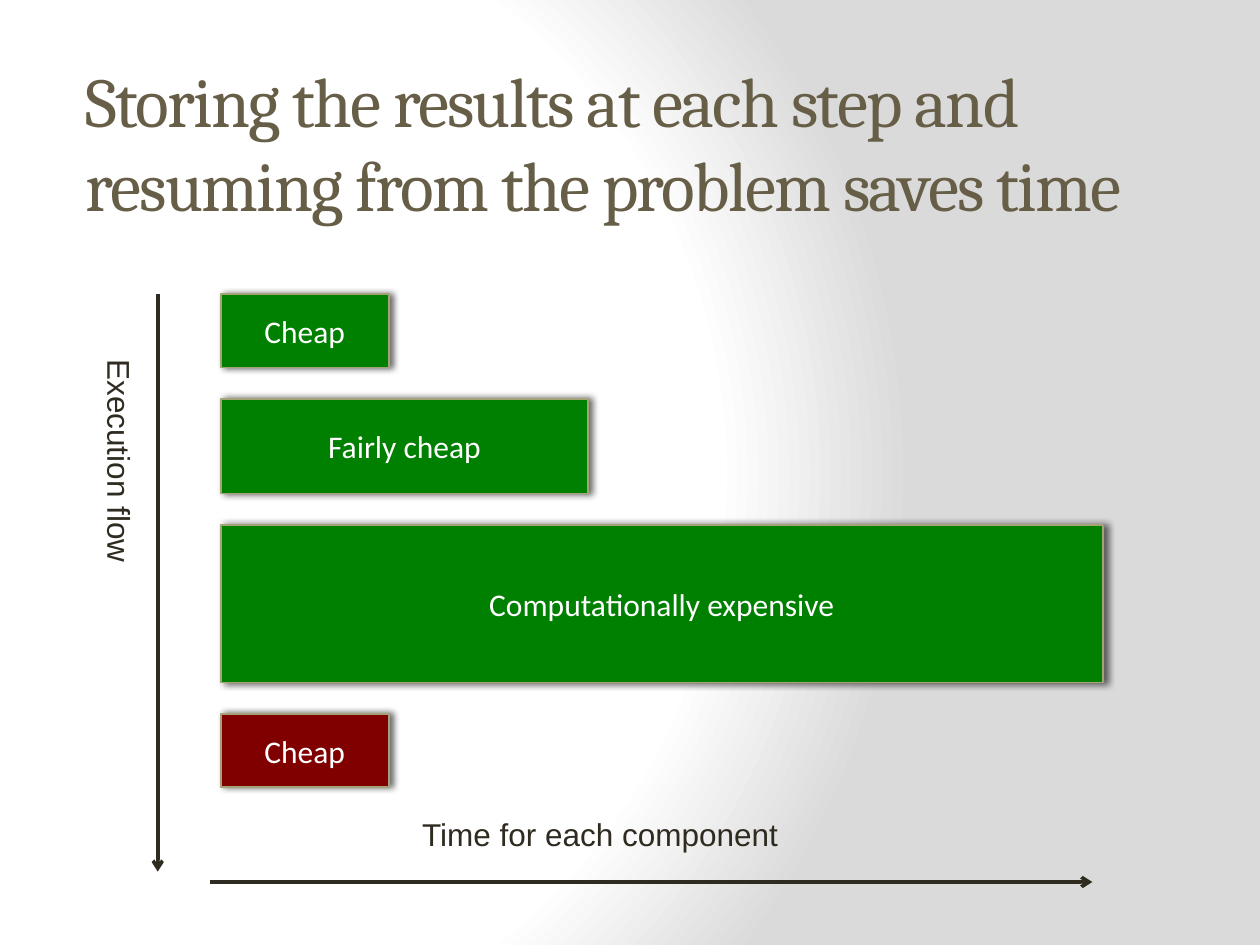
from dataclasses import dataclass

from lxml import etree
from pptx import Presentation
from pptx.dml.color import RGBColor
from pptx.enum.shapes import MSO_CONNECTOR, MSO_SHAPE
from pptx.enum.text import MSO_ANCHOR, MSO_AUTO_SIZE, PP_ALIGN
from pptx.oxml import parse_xml
from pptx.oxml.ns import nsdecls, qn
from pptx.util import Cm, Pt

RECT = MSO_SHAPE.RECTANGLE
LINE = MSO_CONNECTOR.STRAIGHT
MIDDLE = MSO_ANCHOR.MIDDLE
LEFT, CENTER = PP_ALIGN.LEFT, PP_ALIGN.CENTER
FIXED, GROW = MSO_AUTO_SIZE.NONE, MSO_AUTO_SIZE.SHAPE_TO_FIT_TEXT


@dataclass(frozen=True)
class Theme:
    title: str = "675E47"
    ink: str = "2F2B20"
    light: str = "FFFFFF"
    shade: str = "DADADA"
    done: str = "008000"
    failed: str = "800000"
    edge: str = "A6A278"
    shadow: str = "000000"
    head: int = 40
    body: int = 18


THEME = Theme()

# Label, width, height (cm), fill
STEPS = [
    ("Cheap", 3.39, 1.48, THEME.done),
    ("Fairly cheap", 7.41, 1.91, THEME.done),
    ("Computationally expensive", 17.78, 3.18, THEME.done),
    ("Cheap", 3.39, 1.48, THEME.failed),
]
GAP = 0.63


def rgb(code):
    return RGBColor.from_string(code)


def assign(item, form):
    for name, value in form.items():
        setattr(item, name, value)


def write(shape, text, font, size, color, align, frame):
    """Put one formatted line of text into a shape."""
    area = shape.text_frame
    assign(area, {"word_wrap": True, **frame})
    par = area.paragraphs[0]
    par.alignment = align
    run = par.add_run()
    run.text = text
    assign(run.font, {"name": font, "size": Pt(size)})
    run.font.color.rgb = rgb(color)
    return run


def paint_back(slide):
    """Soft radial gradient behind everything."""
    slide.background.fill.solid()
    stops = [(0, THEME.light), (75, THEME.light), (100, THEME.shade)]
    marks = "".join(
        f'<a:gs pos="{pos * 1000}"><a:srgbClr val="{color}"/></a:gs>'
        for pos, color in stops)
    grad = parse_xml(
        f'<a:gradFill {nsdecls("a")} rotWithShape="1"><a:gsLst>{marks}</a:gsLst>'
        '<a:path path="circle"><a:fillToRect l="20000" t="50000" '
        'r="100000" b="50000"/></a:path></a:gradFill>')
    props = slide.element.find(".//" + qn("p:bgPr"))
    props.replace(props.find(qn("a:solidFill")), grad)


def add_title(slide, box, text):
    x, y, w, h = map(Cm, box)
    title = slide.shapes.title
    assign(title, {"left": x, "top": y, "width": w, "height": h})
    run = write(title, text, "Cambria", THEME.head, THEME.title, LEFT,
                {"vertical_anchor": MIDDLE, "auto_size": FIXED})
    # Tighten the letter spacing by one point
    run.font.bold = False
    title.element.find(".//" + qn("a:rPr")).set("spc", "-100")


def cast_shadow(shape):
    shape.shadow.inherit = False
    effects = shape.element.spPr.find(qn("a:effectLst"))
    effects.append(parse_xml(
        f'<a:outerShdw {nsdecls("a")} blurRad="{Pt(4)}" dist="{Pt(2)}" dir="0" '
        f'rotWithShape="0"><a:srgbClr val="{THEME.shadow}">'
        '<a:alpha val="60000"/></a:srgbClr></a:outerShdw>'))


def add_bars(slide, spot, steps):
    """Stack one bar per step, evenly spaced, down from the given spot."""
    x, y = spot
    for text, w, h, fill in steps:
        bar = slide.shapes.add_shape(RECT, Cm(x), Cm(y), Cm(w), Cm(h))
        bar.fill.solid()
        bar.fill.fore_color.rgb = rgb(fill)
        bar.line.color.rgb = rgb(THEME.edge)
        bar.line.width = Pt(1)
        cast_shadow(bar)
        write(bar, text, "Calibri", THEME.body, THEME.light, CENTER,
              {"vertical_anchor": MIDDLE})
        y += h + GAP


def add_arrow(slide, start, end):
    arrow = slide.shapes.add_connector(LINE, *map(Cm, start + end))
    arrow.line.color.rgb = rgb(THEME.ink)
    arrow.line.width = Pt(2)
    props = arrow.element.spPr
    etree.SubElement(props.find(qn("a:ln")), qn("a:tailEnd"), type="arrow")
    etree.SubElement(props, qn("a:effectLst"))


def add_label(slide, box, text, turn=0):
    label = slide.shapes.add_textbox(*map(Cm, box))
    label.rotation = turn
    write(label, text, "Arial", THEME.body, THEME.ink, LEFT,
          {"auto_size": GROW})


def add_axes(slide, box):
    """Flow axis down the left side, time axis along the bottom."""
    x, y, w, h = box
    add_label(slide, (x + 5.08, y + h - 1.48, 9.53, 1.02),
              "Time for each component")
    add_arrow(slide, (x + 1.06, y + h), (x + w, y + h))
    add_arrow(slide, (x, y), (x, y + h - 0.21))
    add_label(slide, (x - 5.21, y + 5, 8.89, 1.02), "Execution flow", 90)


def main():
    deck = Presentation()
    assign(deck, {"slide_width": Cm(25.4), "slide_height": Cm(19.05)})
    slide = deck.slides.add_slide(deck.slide_layouts[5])
    paint_back(slide)
    add_title(slide, (1.47, 0.84, 23.06, 4.01),
              "Storing the results at each step and "
              "resuming from the problem saves time")
    add_bars(slide, (4.45, 5.93), STEPS)
    add_axes(slide, (3.18, 5.93, 18.84, 11.85))
    deck.save("out.pptx")


if __name__ == "__main__":
    main()
